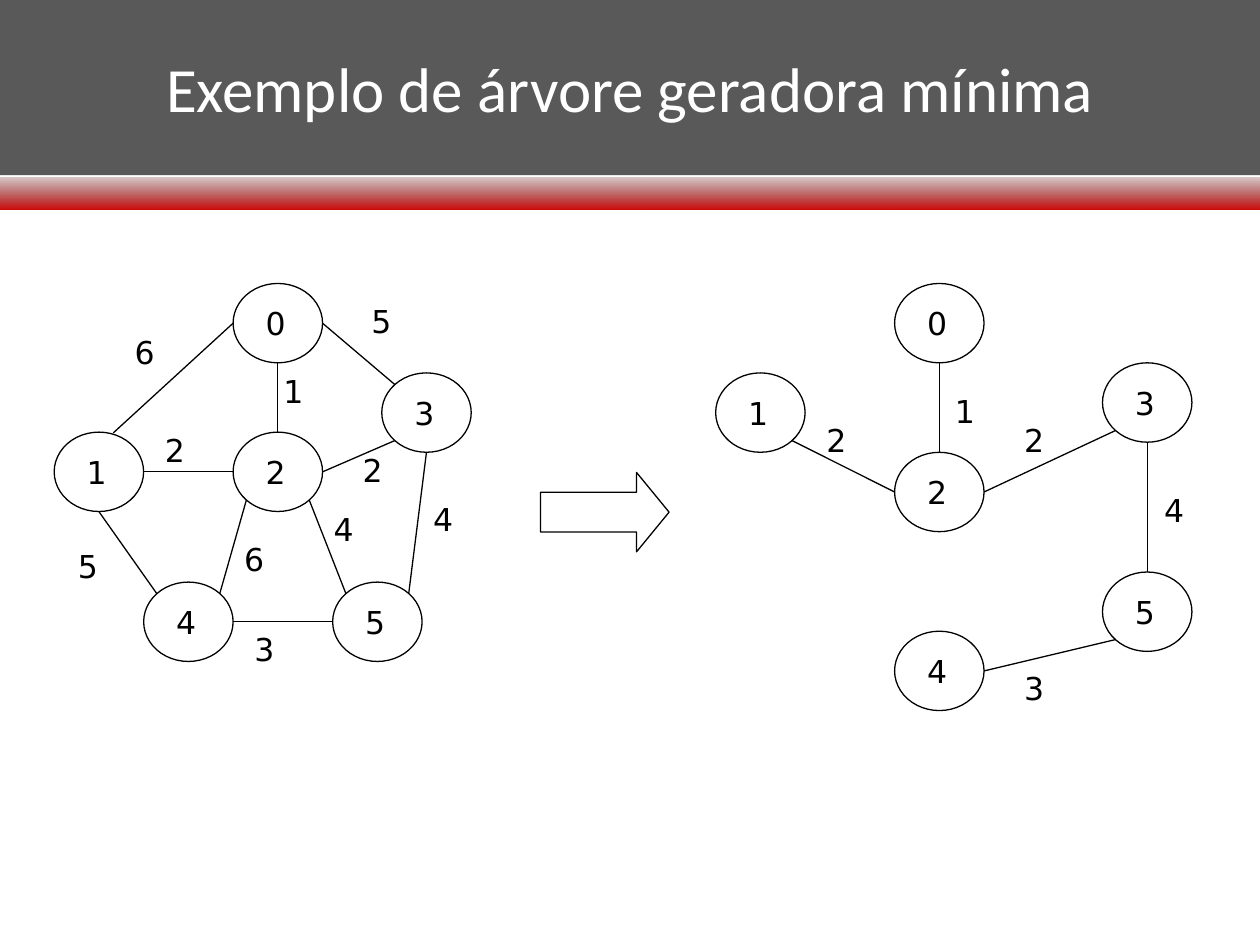
from lxml import etree
from pptx import Presentation
from pptx.dml.color import RGBColor
from pptx.enum.shapes import MSO_CONNECTOR, MSO_SHAPE
from pptx.enum.text import MSO_ANCHOR, MSO_AUTO_SIZE, PP_ALIGN
from pptx.oxml.ns import qn
from pptx.util import Inches, Pt

RECT, OVAL, ARROW = MSO_SHAPE.RECTANGLE, MSO_SHAPE.OVAL, MSO_SHAPE.RIGHT_ARROW
STRAIGHT = MSO_CONNECTOR.STRAIGHT
MIDDLE, CENTER = MSO_ANCHOR.MIDDLE, PP_ALIGN.CENTER
NO_FIT = MSO_AUTO_SIZE.NONE

COLORS = {"header": "595959", "title": "FFFFFF", "ink": "000000",
          "band_top": "5E0000", "band_bottom": "CC0000"}
TITLE = "Exemplo de árvore geradora mínima"
NODE_W, NODE_H = 0.71, 0.63
LABEL_W, LABEL_H = 0.34, 0.4

SITES = {"n": (0.5, 0), "s": (0.5, 1), "w": (0, 0.5), "e": (1, 0.5),
         "nw": (0.15, 0.15), "ne": (0.85, 0.15),
         "sw": (0.15, 0.85), "se": (0.85, 0.85), "nne": (0.66, 0.01)}

# Each edge: node, side, node, side, weight, label left, label top
GRAPH = {
    "nodes": {"0": (1.85, 2.25), "3": (3.03, 2.96), "2": (1.85, 3.43),
              "5": (2.64, 4.62), "1": (0.43, 3.43), "4": (1.14, 4.62)},
    "edges": [("0", "e", "3", "nw", "5", 2.85, 2.35),
              ("3", "s", "5", "ne", "4", 3.34, 3.92),
              ("5", "w", "4", "e", "3", 1.92, 4.95),
              ("4", "nw", "1", "s", "5", 0.52, 4.29),
              ("1", "nne", "0", "w", "6", 0.97, 2.59),
              ("0", "s", "2", "n", "1", 2.15, 2.9),
              ("4", "ne", "2", "sw", "6", 1.84, 4.24),
              ("5", "nw", "2", "se", "4", 2.55, 4),
              ("1", "e", "2", "w", "2", 1.21, 3.37),
              ("2", "e", "3", "sw", "2", 2.78, 3.53)],
}
TREE = {
    "nodes": {"0": (7.1, 2.25), "2": (7.1, 3.59), "3": (8.75, 2.88),
              "5": (8.75, 4.54), "1": (5.68, 2.96), "4": (7.1, 5.01)},
    "edges": [("0", "s", "2", "n", "1", 7.48, 3.06),
              ("2", "e", "3", "sw", "2", 8.03, 3.29),
              ("1", "se", "2", "w", "2", 6.46, 3.29),
              ("3", "s", "5", "n", "4", 9.14, 3.85),
              ("5", "sw", "4", "e", "3", 8.03, 5.26)],
}


def rgb(name):
    return RGBColor.from_string(COLORS[name])


def add_run(p, text, font, size, color):
    r = p.add_run()
    r.text = text
    r.font.name = font
    r.font.size = Pt(size)
    r.font.color.rgb = rgb(color)


def add_shape(slide, kind, x, y, w, h, outlined=True):
    s = slide.shapes.add_shape(kind, Inches(x), Inches(y), Inches(w), Inches(h))
    s.shadow.inherit = False
    s.fill.background()
    if outlined:
        s.line.color.rgb = rgb("ink")
        s.line.width = Pt(0.75)
    else:
        s.line.fill.background()
    return s


def add_label(slide, text, x, y):
    s = slide.shapes.add_textbox(Inches(x), Inches(y), Inches(LABEL_W), Inches(LABEL_H))
    tf = s.text_frame
    tf.word_wrap = False
    tf.auto_size = NO_FIT
    add_run(tf.paragraphs[0], text, "DejaVu Sans", 18, "ink")


def add_edge(slide, start, end):
    s = slide.shapes.add_connector(STRAIGHT, *(Inches(v) for v in start + end))
    s.line.color.rgb = rgb("ink")
    s.line.width = Pt(0.75)
    etree.SubElement(s._element.spPr, qn("a:effectLst"))


def add_graph(slide, nodes, edges):
    def site(node, side):
        (x, y), (fx, fy) = nodes[node], SITES[side]
        return x + fx * NODE_W, y + fy * NODE_H

    for name, (x, y) in nodes.items():
        add_shape(slide, OVAL, x, y, NODE_W, NODE_H)
        add_label(slide, name, x + 0.16, y + 0.115)
    for a, a_side, b, b_side, weight, x, y in edges:
        add_edge(slide, site(a, a_side), site(b, b_side))
        add_label(slide, weight, x, y)


def add_header(slide):
    band = add_shape(slide, RECT, 0, 1.41, 10, 0.25, outlined=False)
    band.fill.gradient()
    band.fill.gradient_angle = 270
    for stop, name, pos in zip(band.fill.gradient_stops, ("band_top", "band_bottom"), (0, 1)):
        stop.color.rgb = rgb(name)
        stop.position = pos
    top = next(band._element.spPr.iter(qn("a:srgbClr")))
    etree.SubElement(top, qn("a:alpha"), val="21000")

    s = add_shape(slide, RECT, 0, 0, 10, 1.39, outlined=False)
    s.fill.solid()
    s.fill.fore_color.rgb = rgb("header")
    tf = s.text_frame
    tf.word_wrap = True
    tf.margin_left = tf.margin_right = tf.margin_top = tf.margin_bottom = 0
    tf.vertical_anchor = MIDDLE
    p = tf.paragraphs[0]
    p.alignment = CENTER
    add_run(p, TITLE, "Calibri", 36, "title")


def main():
    prs = Presentation()
    prs.slide_width, prs.slide_height = Inches(10), Inches(7.5)
    slide = prs.slides.add_slide(prs.slide_layouts[6])
    add_header(slide)
    add_graph(slide, **GRAPH)
    add_graph(slide, **TREE)
    arrow = add_shape(slide, ARROW, 4.29, 3.75, 1.02, 0.63)
    arrow.adjustments[0], arrow.adjustments[1] = 0.5, 0.41
    prs.save("out.pptx")


if __name__ == "__main__":
    main()
